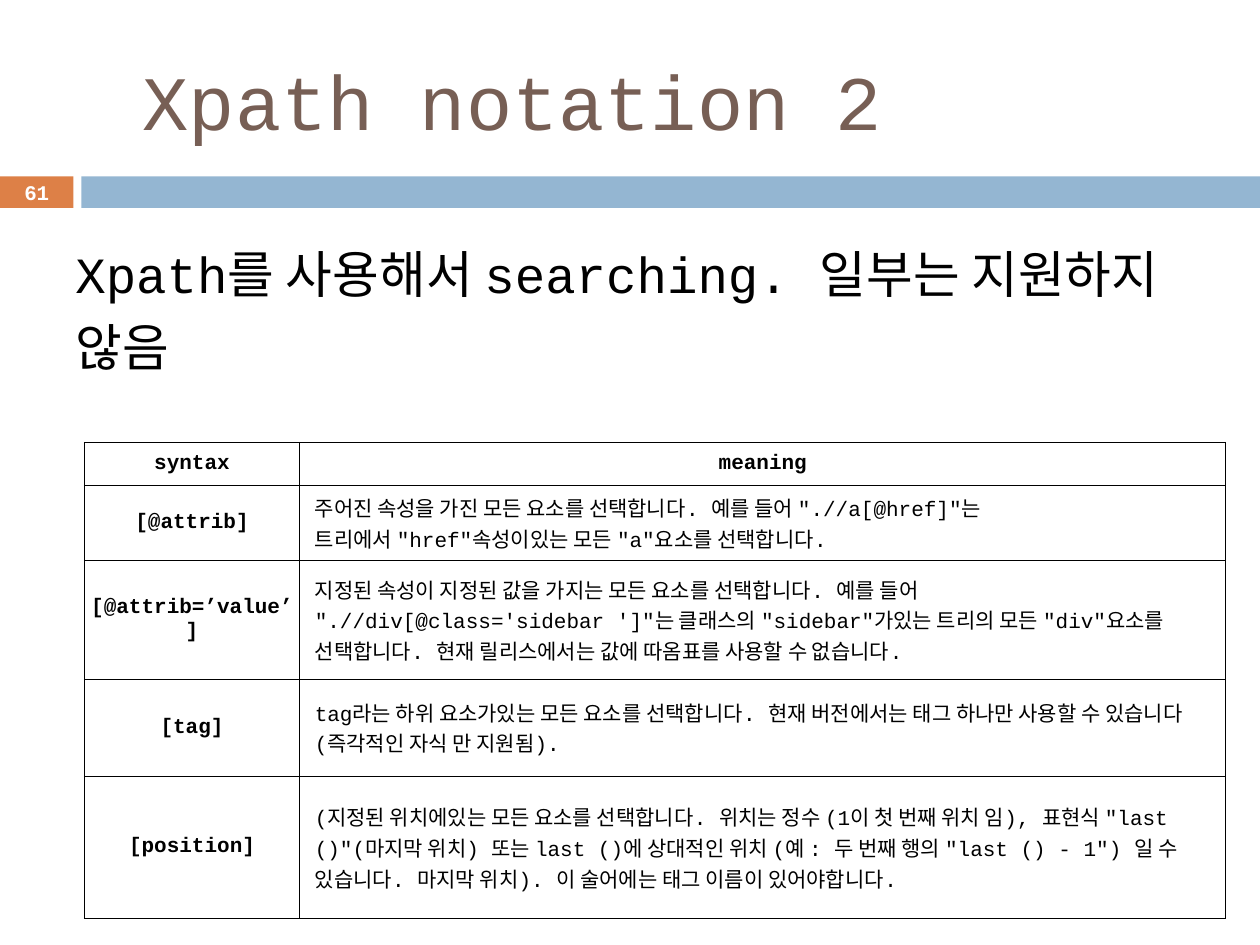
from dataclasses import dataclass

from lxml import etree
from pptx import Presentation
from pptx.dml.color import RGBColor
from pptx.enum.shapes import MSO_SHAPE
from pptx.enum.text import MSO_ANCHOR, MSO_AUTO_SIZE, PP_ALIGN
from pptx.oxml.ns import qn
from pptx.util import Pt

RECT = MSO_SHAPE.RECTANGLE
MIDDLE, TOP = MSO_ANCHOR.MIDDLE, MSO_ANCHOR.TOP
LEFT, CENTER = PP_ALIGN.LEFT, PP_ALIGN.CENTER
NO_AUTOFIT = MSO_AUTO_SIZE.NONE


@dataclass(frozen=True)
class Theme:
    font: str = "Courier New"
    title: str = "775F55"
    text: str = "000000"
    paper: str = "FFFFFF"
    accent: str = "DD8047"
    band: str = "94B6D2"
    title_size: float = 44
    body_size: float = 29
    number_size: float = 11.9
    table_size: float = 12
    border: float = 0.6


@dataclass(frozen=True)
class Box:
    left: float
    top: float
    width: float
    height: float

    def emu(self) -> tuple:
        return Pt(self.left), Pt(self.top), Pt(self.width), Pt(self.height)


@dataclass(frozen=True)
class Notation:
    syntax: str
    meaning: str
    height: float


THEME = Theme()
HEADER = Notation("syntax", "meaning", 24.5)
NOTATIONS = [
    Notation("[@attrib]",
             '주어진 속성을 가진 모든 요소를 선택합니다. 예를 들어 ".//a[@href]"는 '
             '트리에서 "href"속성이있는 모든 "a"요소를 선택합니다.', 43.2),
    Notation("[@attrib=’value’]",
             '지정된 속성이 지정된 값을 가지는 모든 요소를 선택합니다. 예를 들어 '
             '".//div[@class=\'sidebar \']"는 클래스의 "sidebar"가있는 트리의 모든 '
             '"div"요소를 선택합니다. 현재 릴리스에서는 값에 따옴표를 사용할 수 없습니다.', 67.7),
    Notation("[tag]",
             "tag라는 하위 요소가있는 모든 요소를 선택합니다. 현재 버전에서는 태그 "
             "하나만 사용할 수 있습니다 (즉각적인 자식 만 지원됨).", 55.4),
    Notation("[position]",
             '(지정된 위치에있는 모든 요소를 선택합니다. 위치는 정수 (1이 첫 번째 위치 임), '
             '표현식 "last ()"(마지막 위치) 또는 last ()에 상대적인 위치 (예 : 두 번째 행의 '
             '"last () - 1") 일 수 있습니다. 마지막 위치). 이 술어에는 태그 이름이 '
             '있어야합니다.', 81.4),
]
COLUMNS = (123.1, 529.2)


def rgb(color: str) -> RGBColor:
    return RGBColor.from_string(color)


def write(tf, text: str, size: float, color: str = THEME.text,
          bold: bool = False, align=LEFT):
    tf.text = text
    tf.word_wrap = True
    p = tf.paragraphs[0]
    p.alignment = align
    font = p.runs[0].font
    font.name, font.size, font.bold = THEME.font, Pt(size), bold
    font.color.rgb = rgb(color)
    return p


def add_bar(s, box: Box, color: str):
    sp = s.shapes.add_shape(RECT, *box.emu())
    sp.shadow.inherit = False
    sp.fill.solid()
    sp.fill.fore_color.rgb = rgb(color)
    sp.line.fill.background()


def add_text(s, box: Box, anchor, text: str, size: float, **style):
    tf = s.shapes.add_textbox(*box.emu()).text_frame
    tf.vertical_anchor = anchor
    return write(tf, text, size, **style)


def set_title(s, box: Box, text: str):
    sp = s.shapes.title
    sp.left, sp.top, sp.width, sp.height = box.emu()
    tf = sp.text_frame
    tf.auto_size = NO_AUTOFIT
    tf.vertical_anchor = MIDDLE
    tf.margin_left = Pt(33.6)
    write(tf, text, THEME.title_size, THEME.title)


def add_borders(cell):
    tc_pr = cell._tc.get_or_add_tcPr()
    for side in ("lnL", "lnR", "lnT", "lnB"):
        ln = etree.SubElement(tc_pr, qn(f"a:{side}"), w=str(Pt(THEME.border)))
        fill = etree.SubElement(ln, qn("a:solidFill"))
        etree.SubElement(fill, qn("a:srgbClr"), val=THEME.text)


def fill_cell(cell, text: str, heading: bool):
    """Headings are bold and centred; other cells are indented prose."""
    add_borders(cell)
    cell.fill.solid()
    cell.fill.fore_color.rgb = rgb(THEME.paper)
    cell.vertical_anchor = MIDDLE
    cell.margin_left = cell.margin_right = Pt(2.2 if heading else 8.6)
    cell.margin_top = cell.margin_bottom = Pt(1.4)
    write(cell.text_frame, text, THEME.table_size, bold=heading,
          align=CENTER if heading else LEFT)


def add_notation_table(s, left: float, top: float):
    rows = [HEADER, *NOTATIONS]
    box = Box(left, top, sum(COLUMNS), sum(row.height for row in rows))
    table = s.shapes.add_table(len(rows), len(COLUMNS), *box.emu()).table
    for column, width in zip(table.columns, COLUMNS):
        column.width = Pt(width)
    for i, row in enumerate(rows):
        table.rows[i].height = Pt(row.height)
        fill_cell(table.cell(i, 0), row.syntax, True)
        fill_cell(table.cell(i, 1), row.meaning, row is HEADER)


def main():
    prs = Presentation()
    prs.slide_width, prs.slide_height = Pt(720), Pt(540)
    s = prs.slides.add_slide(prs.slide_layouts[5])
    number_box = Box(0, 100.8, 42, 18)
    add_bar(s, number_box, THEME.accent)
    add_bar(s, Box(46.5, 100.8, 673.5, 18), THEME.band)
    set_title(s, Box(48, 18, 642, 78), "Xpath notation 2")
    p = add_text(s, Box(36, 128, 648, 108), TOP,
                 "Xpath를 사용해서 searching. 일부는 지원하지 않음", THEME.body_size)
    p.line_spacing = 1.2
    add_text(s, number_box, MIDDLE, "61", THEME.number_size,
             color=THEME.paper, bold=True, align=CENTER)
    add_notation_table(s, 48.2, 252.7)
    prs.save("out.pptx")


if __name__ == "__main__":
    main()
